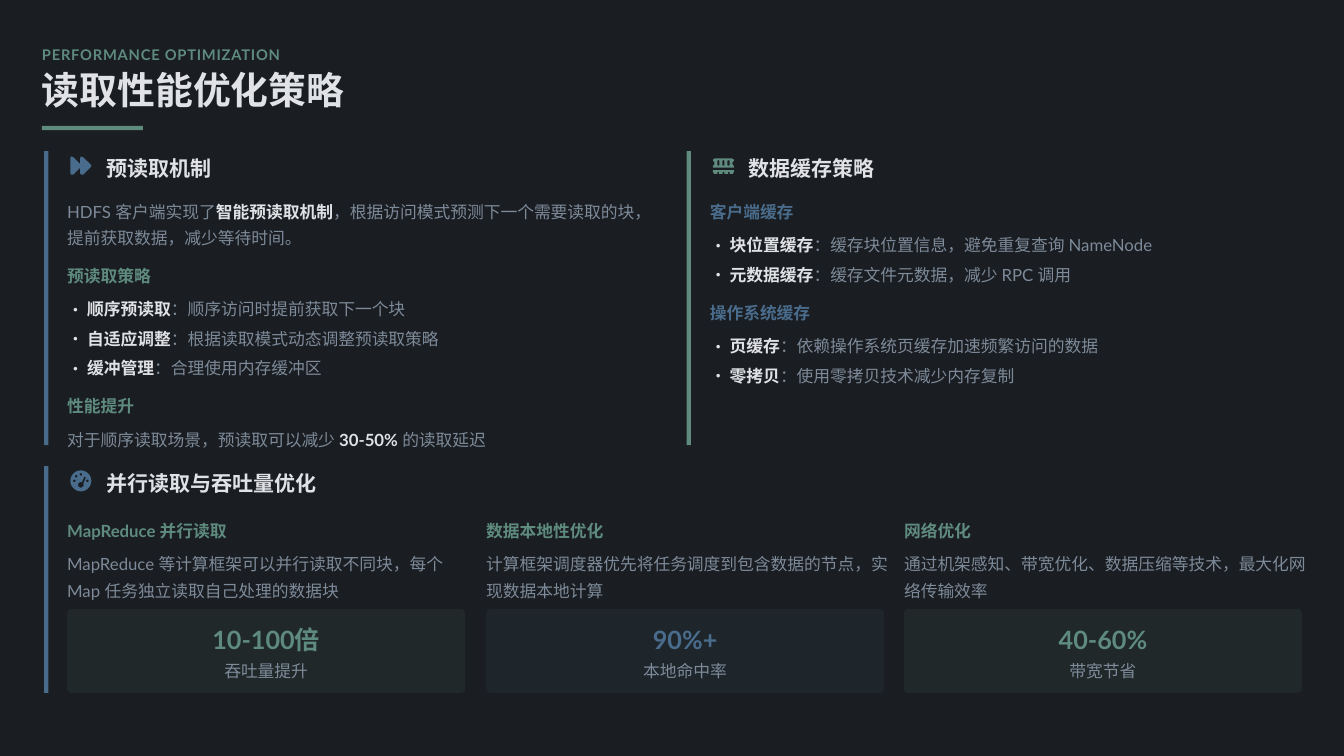
from math import cos, radians, sin

from lxml import etree
from pptx import Presentation
from pptx.dml.color import RGBColor
from pptx.enum.shapes import MSO_SHAPE
from pptx.enum.text import MSO_ANCHOR, MSO_AUTO_SIZE, PP_ALIGN
from pptx.oxml.ns import qn
from pptx.util import Pt

PX = 12700
ICON_UNIT = PX // 5  # icons are drawn on a 100-unit grid, 20 px wide

BACKGROUND = RGBColor(0x1A, 0x1D, 0x21)
GREEN = RGBColor(0x5E, 0x8B, 0x7E)
BLUE = RGBColor(0x4A, 0x6C, 0x8C)
WHITE = RGBColor(0xE0, 0xE2, 0xE5)
GREY = RGBColor(0x7D, 0x8A, 0x99)

RECTANGLE = MSO_SHAPE.RECTANGLE
ROUNDED = MSO_SHAPE.ROUNDED_RECTANGLE
MIDDLE, TOP = MSO_ANCHOR.MIDDLE, MSO_ANCHOR.TOP
LEFT, CENTER = PP_ALIGN.LEFT, PP_ALIGN.CENTER
NO_AUTOFIT = MSO_AUTO_SIZE.NONE

LATIN, CJK = "Lato", "Noto Sans CJK SC"
BODY_LINE = Pt(25)
# Space before each kind of paragraph
GAPS = {"heading": 11, "text": 7, "first": 7, "bullet": 3}


def arc(x, y, radius, start=0, end=350):
    return [(x + radius * cos(radians(angle)), y + radius * sin(radians(angle)))
            for angle in range(start, end + 1, 10)]


def memory_icon():
    module = [(12, 14), (88, 14), (98, 18), (100, 25), (95, 30), (92, 38),
              (95, 46), (100, 50), (100, 59), (0, 59), (0, 50), (5, 46),
              (8, 38), (5, 30), (0, 25), (2, 18)]
    pins = [(0, 70), (100, 70), (100, 80), (93, 88)]
    for x in (76, 50, 25):
        pins += [(x + 4, 88), (x + 4, 80), (x, 77), (x - 4, 80), (x - 4, 88)]
    pins += [(7, 88), (0, 80)]
    chips = [[(x - 5, 25), (x, 22), (x + 5, 25), (x + 5, 47), (x, 50), (x - 5, 47)]
             for x in (26, 50, 74)]
    return [module, pins, *chips]


def gauge_icon():
    dots = [arc(x, y, 6) for x, y in ((50, 19), (28, 28), (19, 50), (81, 50))]
    needle = arc(50, 69, 13, -25, 295) + [(66, 31), (70, 29), (74, 34)]
    return [arc(50, 50, 50), *dots, needle]


FORWARD_ICON = [[(61, 9), (50, 5), (47, 13), (47, 41), (14, 9), (4, 5), (0, 13),
                 (0, 84), (4, 92), (14, 92), (47, 59), (47, 84), (50, 92),
                 (61, 92), (97, 56), (100, 50), (97, 44)]]


class SlideWriter:
    def __init__(self, page):
        self.page = page

    def fill(self, shape, color, opacity=None):
        shape.shadow.inherit = False
        shape.fill.solid()
        shape.fill.fore_color.rgb = color
        shape.line.fill.background()
        if opacity is not None:
            tint = shape.fill._xPr.find(".//" + qn("a:srgbClr"))
            etree.SubElement(tint, qn("a:alpha")).set("val", str(opacity * 1000))

    def block(self, x, y, width, height, color):
        bar = self.page.shapes.add_shape(
            RECTANGLE, x * PX, y * PX, width * PX, height * PX)
        self.fill(bar, color)

    def card(self, x, y, width, height, color):
        card = self.page.shapes.add_shape(
            ROUNDED, x * PX, y * PX, width * PX, height * PX)
        card.adjustments[0] = 0.05
        self.fill(card, color, opacity=10)

    def icon(self, x, y, contours, color):
        builder = self.page.shapes.build_freeform(*contours[0][0], scale=ICON_UNIT)
        builder.add_line_segments(contours[0][1:], close=True)
        for contour in contours[1:]:
            builder.move_to(*contour[0])
            builder.add_line_segments(contour[1:], close=True)
        self.fill(builder.convert_to_shape(x * PX, y * PX), color)

    def frame(self, box, x, y, width, height, anchor):
        box.left, box.top = x * PX, y * PX
        box.width, box.height = width * PX, height * PX
        frame = box.text_frame
        frame.margin_left = frame.margin_right = 0
        frame.margin_top = frame.margin_bottom = 0
        frame.word_wrap = True
        frame.auto_size = NO_AUTOFIT
        frame.vertical_anchor = anchor
        return frame

    def style(self, para, size, color, bold, spacing, latin=LATIN):
        para.line_spacing = spacing
        font = para.font
        font.name, font.size, font.bold = latin, Pt(size), bold
        font.color.rgb = color
        etree.SubElement(font._rPr, qn("a:ea")).set("typeface", CJK)

    def line(self, text, x, y, width, height, size, color, bold=True,
             spacing=1.2, align=LEFT, tracking=None, box=None, latin=LATIN):
        box = box or self.page.shapes.add_textbox(0, 0, 0, 0)
        para = self.frame(box, x, y, width, height, MIDDLE).paragraphs[0]
        para.alignment = align
        para.add_run().text = text
        self.style(para, size, color, bold, spacing, latin)
        if tracking:
            para.font._rPr.set("spc", str(tracking))

    def body(self, paragraphs, x, y, width, height, accent, box=None):
        """Each paragraph is (kind, text); **marks** set bold white spans."""
        box = box or self.page.shapes.add_textbox(0, 0, 0, 0)
        frame = self.frame(box, x, y, width, height, TOP)
        for index, (kind, text) in enumerate(paragraphs):
            para = frame.add_paragraph() if index else frame.paragraphs[0]
            para.alignment = LEFT
            para.space_before = Pt(GAPS[kind] if index else 0)
            self.bullet(para, kind in ("first", "bullet"))
            heading = kind == "heading"
            self.style(para, 16, accent if heading else GREY, heading, BODY_LINE)
            for part, words in enumerate(text.split("**")):
                if words:
                    span = para.add_run()
                    span.text = words
                    if part % 2:
                        span.font.bold = True
                        span.font.color.rgb = WHITE

    def bullet(self, para, shown):
        props = para._p.get_or_add_pPr()
        indent = 19 * PX if shown else 0
        props.set("marL", str(indent))
        props.set("indent", str(-indent))
        if shown:
            etree.SubElement(props, qn("a:buFont")).set("typeface", CJK)
            etree.SubElement(props, qn("a:buChar")).set("char", "•")
        else:
            etree.SubElement(props, qn("a:buNone"))

    def section(self, x, y, height, title, icon, color):
        self.block(x, y, 4, height, color)
        self.icon(x + 25, y + 4, icon, color)
        self.line(title, x + 59, y, 400, 28, 20, WHITE)


PREFETCH = [
    ("text", "HDFS 客户端实现了**智能预读取机制**，根据访问模式预测下一个需要读取的块，提前获取数据，减少等待时间。"),
    ("heading", "预读取策略"),
    ("first", "**顺序预读取**：顺序访问时提前获取下一个块"),
    ("bullet", "**自适应调整**：根据读取模式动态调整预读取策略"),
    ("bullet", "**缓冲管理**：合理使用内存缓冲区"),
    ("heading", "性能提升"),
    ("text", "对于顺序读取场景，预读取可以减少 **30-50%** 的读取延迟"),
]
CACHING = [
    ("heading", "客户端缓存"),
    ("first", "**块位置缓存**：缓存块位置信息，避免重复查询 NameNode"),
    ("bullet", "**元数据缓存**：缓存文件元数据，减少 RPC 调用"),
    ("heading", "操作系统缓存"),
    ("first", "**页缓存**：依赖操作系统页缓存加速频繁访问的数据"),
    ("bullet", "**零拷贝**：使用零拷贝技术减少内存复制"),
]
COLUMNS = [
    ("MapReduce 并行读取", "MapReduce 等计算框架可以并行读取不同块，每个 Map 任务独立读取自己处理的数据块",
     "10-100倍", "吞吐量提升", GREEN),
    ("数据本地性优化", "计算框架调度器优先将任务调度到包含数据的节点，实现数据本地计算",
     "90%+", "本地命中率", BLUE),
    ("网络优化", "通过机架感知、带宽优化、数据压缩等技术，最大化网络传输效率",
     "40-60%", "带宽节省", GREEN),
]


def main():
    deck = Presentation()
    deck.slide_width, deck.slide_height = 1280 * PX, 720 * PX
    page = deck.slides.add_slide(deck.slide_layouts[3])
    page.background.fill.solid()
    page.background.fill.fore_color.rgb = BACKGROUND
    title, left_list, right_list = page.placeholders
    writer = SlideWriter(page)

    # Header
    writer.line("PERFORMANCE OPTIMIZATION", 40, 40, 1200, 20, 14, GREEN, tracking=70)
    writer.line("读取性能优化策略", 40, 68, 1200, 40, 36, WHITE, spacing=0.9,
                box=title, latin=CJK)
    writer.block(40, 120, 96, 4, GREEN)

    # Two upper sections
    writer.section(42, 144, 280, "预读取机制", FORWARD_ICON, BLUE)
    writer.body(PREFETCH, 64, 186, 572, 240, GREEN, left_list)
    writer.section(654, 144, 280, "数据缓存策略", memory_icon(), GREEN)
    writer.body(CACHING, 676, 186, 572, 240, BLUE, right_list)

    # Parallel reading section with three columns
    writer.section(42, 444, 216, "并行读取与吞吐量优化", gauge_icon(), BLUE)
    for index, (heading, text, value, label, color) in enumerate(COLUMNS):
        x = 64 + round(index * 1196 / 3)
        writer.body([("heading", heading), ("text", text)], x, 490, 387, 84, GREEN)
        writer.card(x, 580, 379, 80, color)
        writer.line(value, x, 592, 379, 32, 24, color, spacing=1.1, align=CENTER)
        writer.line(label, x, 624, 379, 24, 16, GREY, bold=False, spacing=1.3,
                    align=CENTER)

    deck.save("out.pptx")


if __name__ == "__main__":
    main()
